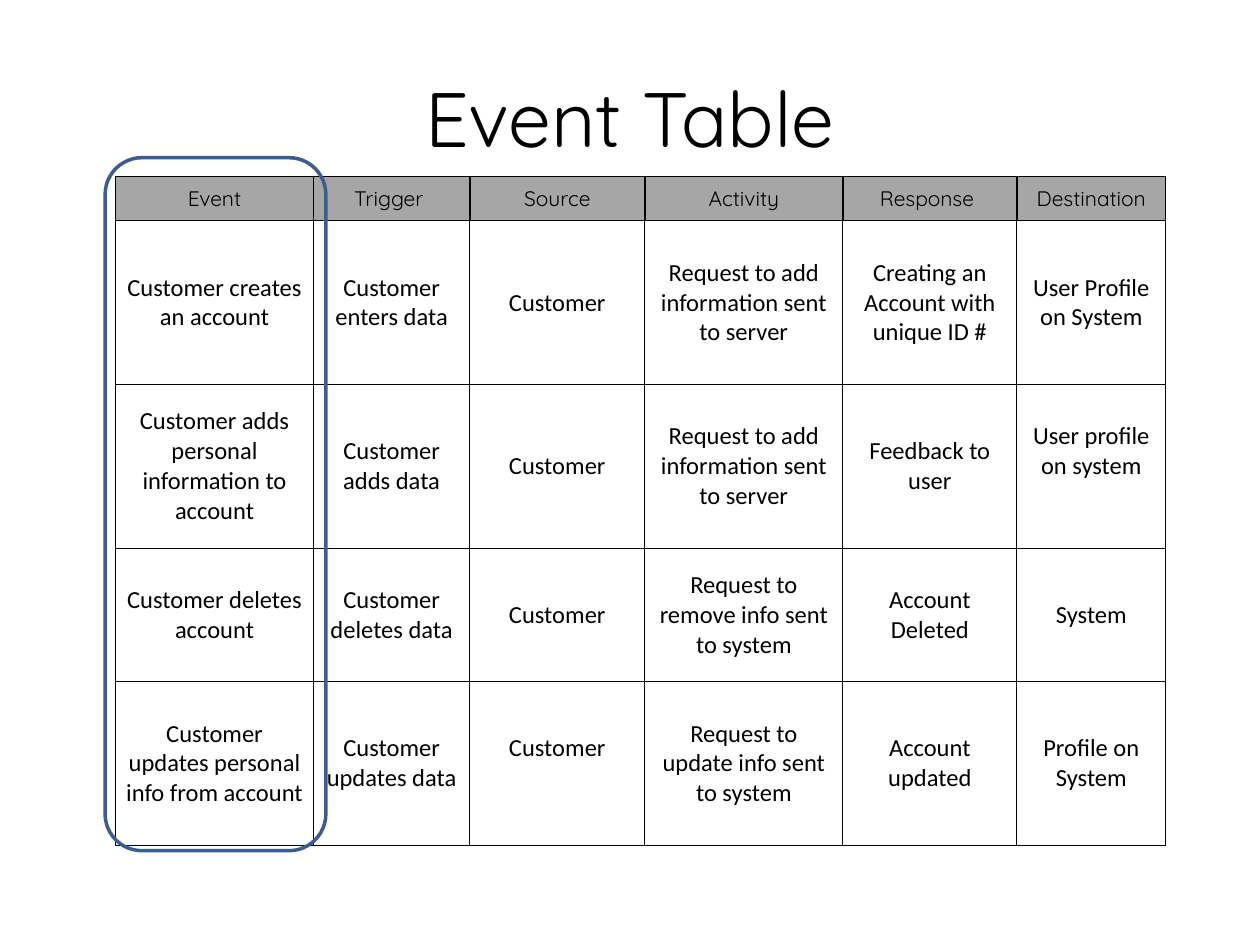
import pptx
import pptx.util
import pptx.dml.color
import pptx.enum.shapes
import pptx.enum.text
import pptx.oxml
import pptx.oxml.ns

Cm, Pt = pptx.util.Cm, pptx.util.Pt
MIDDLE = pptx.enum.text.MSO_ANCHOR.MIDDLE
TOP = pptx.enum.text.MSO_ANCHOR.TOP
COLORS = {"text": "000000", "border": "000000", "body": "FFFFFF",
          "header": "A6A6A6", "highlight": "3A5F8C"}


class SlideBuilder:
    """Holds the fonts and the current slide."""
    heading_font = "Quicksand"
    body_font = "Calibri"

    def __init__(self, slide):
        self.slide = slide

    def color(self, name):
        return pptx.dml.color.RGBColor.from_string(COLORS[name])

    def format_paragraph(self, paragraph, font, size):
        paragraph.alignment = pptx.enum.text.PP_ALIGN.CENTER
        paragraph.font.name = font
        paragraph.font.size = Pt(size)
        paragraph.font.color.rgb = self.color("text")

    def title(self, text, left, top, width, height):
        shape = self.slide.shapes.add_textbox(Cm(left), Cm(top), Cm(width), Cm(height))
        frame = shape.text_frame
        frame.word_wrap = True
        frame.vertical_anchor = MIDDLE
        frame.text = text
        self.format_paragraph(frame.paragraphs[0], self.heading_font, 44)

    def cell_borders(self, cell, width):
        properties = cell._tc.get_or_add_tcPr()
        for side in ("lnL", "lnR", "lnT", "lnB"):
            properties.append(pptx.oxml.parse_xml(
                f'<a:{side} {pptx.oxml.ns.nsdecls("a")} w="{Pt(width)}"><a:solidFill>'
                f'<a:srgbClr val="{COLORS["border"]}"/></a:solidFill></a:{side}>'))

    def table(self, rows, left, top, widths, heights, fill, font, size,
              anchor, margins, border, raised=()):
        shape = self.slide.shapes.add_table(
            len(rows), len(widths), Cm(left), Cm(top), Cm(sum(widths)), Cm(sum(heights)))
        table = shape.table
        table.first_row = table.horz_banding = False
        for column, width in zip(table.columns, widths):
            column.width = Cm(width)
        for r, (texts, height) in enumerate(zip(rows, heights)):
            table.rows[r].height = Cm(height)
            for c, text in enumerate(texts):
                cell = table.cell(r, c)
                cell.text = text
                cell.vertical_anchor = anchor
                cell.margin_left = cell.margin_right = Cm(margins[0])
                cell.margin_top = cell.margin_bottom = Cm(margins[1])
                if (r, c) in raised:  # one text line higher than the middle
                    cell.margin_bottom = Cm(margins[1] + 0.6)
                self.format_paragraph(cell.text_frame.paragraphs[0], font, size)
                self.cell_borders(cell, border)
                cell.fill.solid()
                cell.fill.fore_color.rgb = self.color(fill)

    def outline(self, left, top, width, height):
        shape = self.slide.shapes.add_shape(
            pptx.enum.shapes.MSO_SHAPE.ROUNDED_RECTANGLE,
            Cm(left), Cm(top), Cm(width), Cm(height))
        shape.shadow.inherit = False
        shape.fill.background()
        shape.line.color.rgb = self.color("highlight")
        shape.line.width = Pt(2)


presentation = pptx.Presentation()
presentation.slide_width, presentation.slide_height = Cm(25.4), Cm(19.05)
builder = SlideBuilder(presentation.slides.add_slide(presentation.slide_layouts[6]))

# Title
builder.title("Event Table", 1.27, 0.76, 22.86, 3.18)

# Event rows, then the header above them
table_left = 2.33
column_widths = [3.99, 3.15, 3.53, 3.99, 3.51, 3]
events = [
    ["Customer creates an account", "Customer enters data", "Customer",
     "Request to add information sent to server",
     "Creating an Account with unique ID #", "User Profile on System"],
    ["Customer adds personal information to account", "Customer adds data", "Customer",
     "Request to add information sent to server",
     "Feedback to user", "User profile on system"],
    ["Customer deletes account", "Customer deletes data", "Customer",
     "Request to remove info sent to system", "Account Deleted", "System"],
    ["Customer updates personal info from account", "Customer updates data", "Customer",
     "Request to update info sent to system", "Account updated", "Profile on System"],
]
headings = ["Event", "Trigger ", "Source", "Activity", "Response ", "Destination"]
builder.table(events, table_left, 4.45, column_widths, [3.3, 3.3, 2.69, 3.3],
              "body", builder.body_font, 14, MIDDLE, (0.18, 0.15), 0.75,
              raised={(1, 5), (3, 2)})
builder.table([headings], table_left, 3.56, column_widths, [0.89],
              "header", builder.heading_font, 12, TOP, (0.2, 0.18), 1)

# Highlight around the event column
builder.outline(2.12, 3.18, 4.45, 13.97)

presentation.save("out.pptx")
